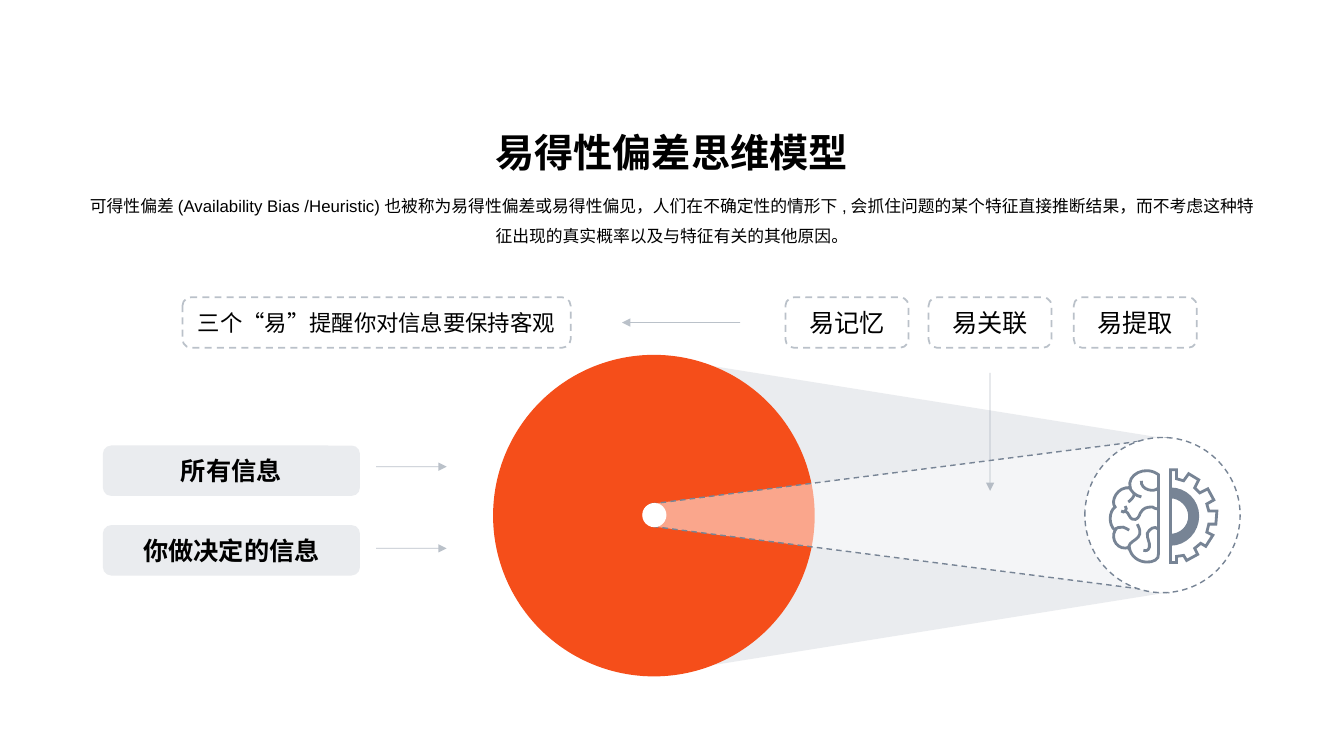
from lxml.etree import SubElement
from pptx import Presentation
from pptx.dml.color import RGBColor
from pptx.enum.dml import MSO_LINE
from pptx.enum.shapes import MSO_CONNECTOR, MSO_SHAPE
from pptx.enum.text import MSO_ANCHOR, MSO_AUTO_SIZE, PP_ALIGN
from pptx.oxml.ns import qn
from pptx.util import Inches, Pt

SLATE, ORANGE, WHITE, BLACK = "778495", "F54E1A", "FFFFFF", "000000"

BRAIN_HALF = [
    (11.49, 5.49), (11.51, 5.61), (11.23, 5.62), (11.2, 5.43),
    (11.09, 5.47), (11.01, 5.35), (11.06, 5.26),
    (10.99, 5.21), (11, 5.07), (11.06, 5.03),
    (11.01, 4.98), (11.08, 4.82), (11.21, 4.84),
    (11.17, 4.71), (11.36, 4.61), (11.49, 4.71),
]
BRAIN_FOLDS = [
    [(11.2, 4.82), (11.21, 4.87), (11.26, 4.92), (11.32, 4.93)],
    [(11.32, 4.77), (11.31, 4.86), (11.45, 4.89), (11.49, 4.84)],
    [(11.25, 4.9), (11.25, 4.93), (11.21, 4.97), (11.19, 4.98)],
    [(11.16, 5.07), (11.2, 5.09), (11.2, 5.14), (11.23, 5.15),
     (11.28, 5.17), (11.3, 5.12), (11.31, 5.09),
     (11.34, 5.04), (11.37, 5.03), (11.43, 5.03),
     (11.44, 5.04), (11.47, 5.05), (11.48, 5.05)],
    [(11.12, 5.07), (11.15, 5.1), (11.19, 5.05), (11.16, 5.02)],
    [(11.49, 5.25), (11.45, 5.21), (11.4, 5.25), (11.38, 5.29),
     (11.37, 5.34), (11.41, 5.38), (11.4, 5.43),
     (11.39, 5.46), (11.37, 5.47), (11.34, 5.46)],
    [(11.2, 5.46), (11.16, 5.34), (11.38, 5.38), (11.28, 5.2)],
    [(11.06, 5.26), (11.07, 5.23), (11.11, 5.23), (11.14, 5.23),
     (11.16, 5.24), (11.19, 5.25), (11.2, 5.26)],
]
GEAR_HALF = [
    (12.06, 5.2), (12.07, 5.07), (11.99, 5.07), (11.97, 5), (12.04, 4.96),
    (11.98, 4.85), (11.9, 4.89), (11.85, 4.84), (11.89, 4.76), (11.79, 4.7),
    (11.74, 4.77), (11.67, 4.75), (11.67, 4.66), (11.61, 4.66), (11.61, 5.58),
    (11.67, 5.58), (11.67, 5.52), (11.74, 5.51), (11.77, 5.56), (11.88, 5.5),
    (11.85, 5.44), (11.91, 5.39), (11.96, 5.42), (12.03, 5.31), (11.97, 5.28),
    (11.99, 5.2),
]
HUB = [
    (11.61, 4.85), *[(11.61, 4.93)] * 3,
    (11.71, 4.93), (11.8, 5.02), (11.8, 5.12),
    (11.8, 5.23), (11.71, 5.31), (11.61, 5.31), *[(11.61, 5.4)] * 3,
    (11.76, 5.4), (11.88, 5.27), (11.88, 5.12),
    (11.88, 4.97), (11.76, 4.85), (11.61, 4.85),
]


def color(hex_value):
    return RGBColor.from_string(hex_value)


def set_alpha(parent, percent):
    if percent < 100:
        rgb = parent.find(qn("a:solidFill")).find(qn("a:srgbClr"))
        SubElement(rgb, qn("a:alpha")).set("val", str(percent * 1000))


def style_fill(shape, hex_value, alpha=100):
    if hex_value is None:
        shape.fill.background()
        return
    shape.fill.solid()
    shape.fill.fore_color.rgb = color(hex_value)
    set_alpha(shape._element.spPr, alpha)


def style_line(shape, width, alpha=100, dash=None):
    shape.line.color.rgb = color(SLATE)
    shape.line.width = Pt(width)
    if dash:
        shape.line.dash_style = dash
    set_alpha(shape._element.spPr.find(qn("a:ln")), alpha)


def add_figure(slide, kind, box, fill=None, alpha=100):
    shape = slide.shapes.add_shape(kind, *map(Inches, box))
    shape.shadow.inherit = False
    style_fill(shape, fill, alpha)
    shape.line.fill.background()
    return shape


def add_trapezoid(slide, box, rotation, adjustment, fill, alpha):
    shape = add_figure(slide, MSO_SHAPE.TRAPEZOID, box, fill, alpha)
    shape.rotation = rotation
    shape.adjustments[0] = adjustment
    return shape


def remove_bullet(paragraph):
    properties = paragraph._p.get_or_add_pPr()
    properties.set("marL", "0")
    properties.set("indent", "0")
    SubElement(properties, qn("a:buNone"))


def write(text_frame, text, size, bold=False):
    text_frame.text = text
    paragraph = text_frame.paragraphs[0]
    remove_bullet(paragraph)
    paragraph.alignment = PP_ALIGN.CENTER
    paragraph.space_before = Pt(0)
    font = paragraph.font
    font.name, font.size, font.bold = "Arial", Pt(size), bold
    font.color.rgb = color(BLACK)
    return paragraph


def add_label(slide, box, text, size, bold=False, fill=None, alpha=100):
    shape = add_figure(slide, MSO_SHAPE.ROUNDED_RECTANGLE, box, fill, alpha)
    frame = shape.text_frame
    frame.word_wrap = False
    frame.vertical_anchor = MSO_ANCHOR.MIDDLE
    frame.margin_left = frame.margin_right = Inches(0.12)
    frame.margin_top = frame.margin_bottom = Inches(0.12)
    write(frame, text, size, bold)
    return shape


def add_dashed_label(slide, box, text, size, fill=None):
    shape = add_label(slide, box, text, size, fill=fill)
    style_line(shape, 1.25, 50, MSO_LINE.DASH)


def add_arrow(slide, start, end):
    arrow = slide.shapes.add_connector(
        MSO_CONNECTOR.STRAIGHT, *map(Inches, start + end))
    style_line(arrow, 0.5, 50)
    properties = arrow._element.spPr
    SubElement(properties.find(qn("a:ln")), qn("a:tailEnd")).set("type", "triangle")
    SubElement(properties, qn("a:effectLst"))


def add_outline(slide, points, close=False, fill=None):
    corners = [(Inches(x), Inches(y)) for x, y in points]
    builder = slide.shapes.build_freeform(*corners[0])
    builder.add_line_segments(corners[1:], close=close)
    shape = builder.convert_to_shape()
    shape.shadow.inherit = False
    style_fill(shape, fill)
    style_line(shape, 2)
    line = shape._element.spPr.find(qn("a:ln"))
    SubElement(line, qn("a:miter")).set("lim", "800000")
    return shape


def add_curve(slide, points, close=False, fill=None):
    shape = add_outline(slide, points, close, fill)
    segments = list(shape._element.spPr.iter(qn("a:lnTo")))
    for index in range(0, len(segments), 3):
        triple = segments[index:index + 3]
        outline = triple[0].getparent()
        bezier = outline.makeelement(qn("a:cubicBezTo"), {})
        outline.replace(triple[0], bezier)
        for segment in triple:
            bezier.append(segment.find(qn("a:pt")))
        for segment in triple[1:]:
            outline.remove(segment)


def fill_placeholder(placeholder, box, text, size, bold=False):
    placeholder.left, placeholder.top, placeholder.width, placeholder.height = map(Inches, box)
    frame = placeholder.text_frame
    frame.word_wrap = True
    frame.auto_size = MSO_AUTO_SIZE.NONE
    return write(frame, text, size, bold)


def add_heading(slide):
    title, body = slide.placeholders
    fill_placeholder(title, (0.72, 1.19, 11.88, 0.6), "易得性偏差思维模型", 28, True)
    title.text_frame.vertical_anchor = MSO_ANCHOR.BOTTOM
    paragraph = fill_placeholder(
        body, (0.72, 1.79, 11.89, 0.68),
        "可得性偏差(Availability Bias /Heuristic)也被称为易得性偏差或易得性偏见，"
        "人们在不确定性的情形下,会抓住问题的某个特征直接推断结果，"
        "而不考虑这种特征出现的真实概率以及与特征有关的其他原因。", 12)
    paragraph.line_spacing = 1.5


def add_beam(slide):
    add_trapezoid(slide, (7.38, 2.51, 3.19, 5.21), 90, 0.261, SLATE, 15)
    add_figure(slide, MSO_SHAPE.OVAL, (4.89, 3.52, 3.19, 3.19), ORANGE)
    beam = add_trapezoid(slide, (8.26, 2.54, 1.54, 5.14), 270, 0.428, WHITE, 50)
    lens = add_figure(slide, MSO_SHAPE.OVAL, (10.76, 4.34, 1.54, 1.54), WHITE)
    for shape in (beam, lens):
        style_line(shape, 1, dash=MSO_LINE.DASH)


def add_brain_gear(slide):
    add_curve(slide, BRAIN_HALF, close=True)
    for fold in BRAIN_FOLDS:
        add_curve(slide, fold)
    add_outline(slide, GEAR_HALF, close=True)
    add_curve(slide, HUB, fill=SLATE)


def main():
    presentation = Presentation()
    presentation.slide_width, presentation.slide_height = Inches(13.33), Inches(7.5)
    slide = presentation.slides.add_slide(presentation.slide_layouts[1])
    add_heading(slide)
    add_beam(slide)
    add_brain_gear(slide)
    add_figure(slide, MSO_SHAPE.OVAL, (6.37, 4.99, 0.24, 0.24), WHITE)
    for top, arrow_y, text in ((4.42, 4.63, "所有信息"), (5.21, 5.44, "你做决定的信息")):
        add_label(slide, (1.02, top, 2.55, 0.5), text, 18, True, SLATE, 15)
        add_arrow(slide, (3.73, arrow_y), (4.43, arrow_y))
    add_arrow(slide, (9.82, 3.7), (9.82, 4.87))
    for left, text in ((7.79, "易记忆"), (9.21, "易关联"), (10.65, "易提取")):
        add_dashed_label(slide, (left, 2.95, 1.22, 0.5), text, 18)
    add_dashed_label(slide, (1.81, 2.95, 3.85, 0.5), "三个“易”提醒你对信息要保持客观", 16, WHITE)
    add_arrow(slide, (7.34, 3.2), (6.17, 3.2))
    presentation.save("out.pptx")


if __name__ == "__main__":
    main()
